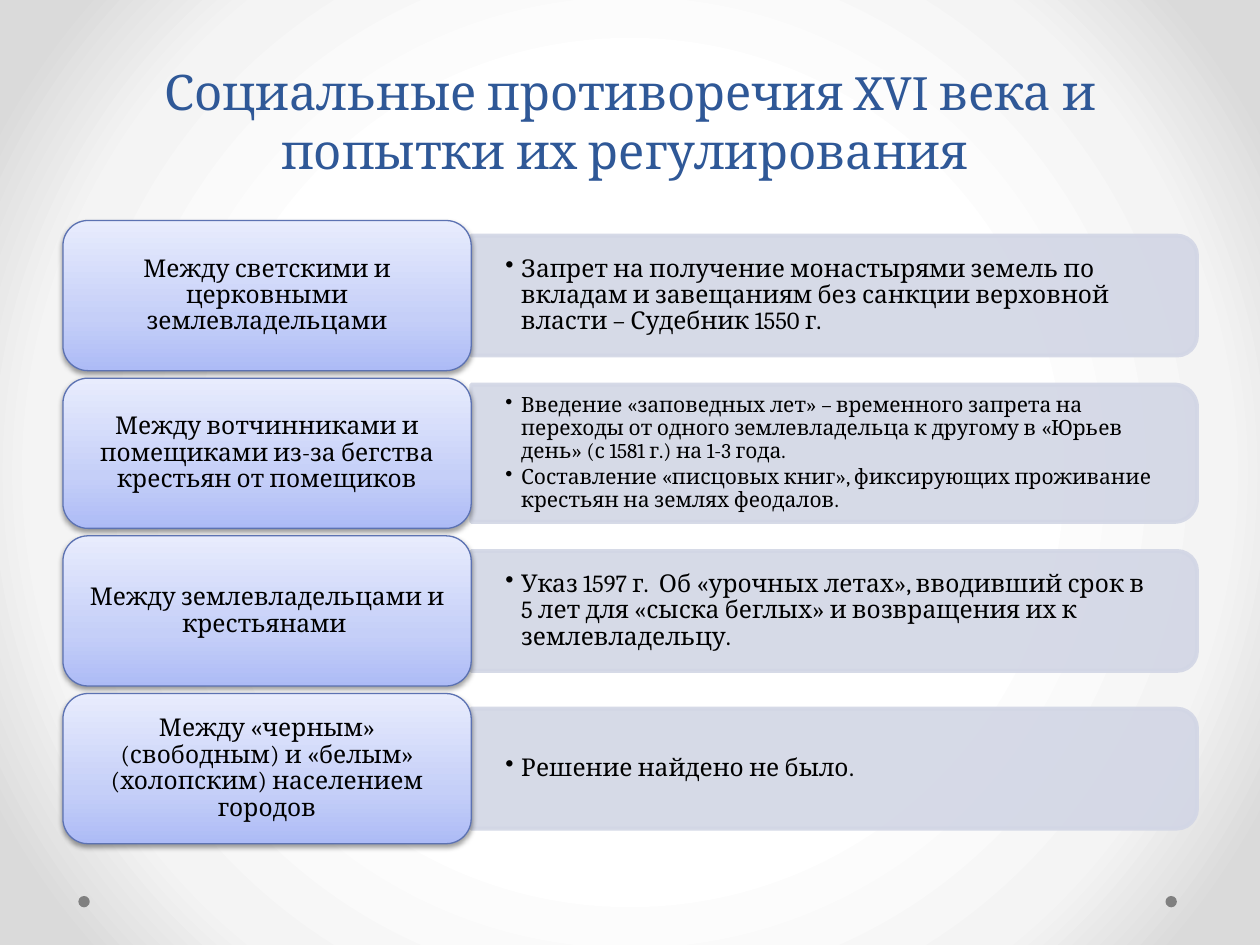
from lxml import etree
from pptx import Presentation
from pptx.dml.color import RGBColor
from pptx.enum.shapes import MSO_SHAPE
from pptx.enum.text import MSO_ANCHOR, MSO_AUTO_SIZE, PP_ALIGN
from pptx.oxml import parse_xml
from pptx.oxml.ns import qn
from pptx.util import Pt

CENTER, LEFT = PP_ALIGN.CENTER, PP_ALIGN.LEFT
MIDDLE, BOTTOM = MSO_ANCHOR.MIDDLE, MSO_ANCHOR.BOTTOM
NS = "http://schemas.openxmlformats.org/drawingml/2006/main"
FONT = "Cambria"
COLORS = {"title": "2F5897", "text": "000000", "panel": "D2D6E5",
          "label_line": "5C72B2", "dot": "808080", "shadow": "000000"}
BACKGROUND_STOPS = [(50, "FFFFFF"), (76, "F4F4F4"), (92, "DADADA")]
LABEL_STOPS = [(0, "ADBBF6"), (35, "C5CFF8"), (100, "E8ECFD")]
RADIAL = ('<a:path path="circle"><a:fillToRect l="50000" t="50000" '
          'r="50000" b="50000"/></a:path>')
UPWARD = '<a:lin ang="16200000" scaled="0"/>'

# Content: label, measures, their text size, panel height
TITLE = "Социальные противоречия XVI века и попытки их регулирования "
CONFLICTS = [
    ("Между светскими и церковными землевладельцами",
     ["Запрет на получение монастырями земель по вкладам и завещаниям без "
      "санкции верховной власти – Судебник 1550 г."], 14, 68.5),
    ("Между вотчинниками и помещиками из-за бегства крестьян от помещиков",
     ["Введение «заповедных лет» – временного запрета на переходы от одного "
      "землевладельца к другому в «Юрьев день» (с 1581 г.) на 1-3 года.",
      "Составление «писцовых книг», фиксирующих проживание крестьян на "
      "землях феодалов."], 12, 78.5),
    ("Между землевладельцами и крестьянами ",
     ["Указ 1597 г.  Об «урочных летах», вводивший срок в 5 лет для «сыска "
      "беглых» и возвращения их к землевладельцу."], 14, 68.5),
    ("Между «черным» (свободным) и «белым» (холопским) населением городов",
     ["Решение найдено не было."], 14, 68.5),
]

# Layout in points
LABEL_LEFT, LABEL_TOP, LABEL_W, LABEL_H = 36, 126, 233.3, 85.8
ROW_PITCH = 90.1
PANEL_LEFT, PANEL_W, PANEL_TEXT_W = LABEL_LEFT + LABEL_W, 414.7, 411
DOT_LEFTS, DOT_TOP, DOT_SIZE = (44.8, 666), 512, 6.5


def rgb(name):
    return RGBColor.from_string(COLORS[name])


def gradient(stops, direction):
    marks = "".join(f'<a:gs pos="{pos * 1000}"><a:srgbClr val="{color}"/></a:gs>'
                    for pos, color in stops)
    return parse_xml(f'<a:gradFill xmlns:a="{NS}" rotWithShape="1">'
                     f'<a:gsLst>{marks}</a:gsLst>{direction}</a:gradFill>')


def use_gradient(parent, stops, direction):
    solid = parent.find(qn("a:solidFill"))
    parent.replace(solid, gradient(stops, direction))


def add_block(slide, kind, box, fill, line=None, weight=0):
    block = slide.shapes.add_shape(kind, *map(Pt, box))
    block.shadow.inherit = False
    block.fill.solid()
    block.fill.fore_color.rgb = rgb(fill)
    if line:
        block.line.color.rgb = rgb(line)
        block.line.width = Pt(weight)
    else:
        block.line.fill.background()
    return block


def write(frame, texts, size, color="text", align=CENTER, anchor=MIDDLE,
          insets=(7.2, 3.6), spacing=0.9, bullets=False):
    side, edge = map(Pt, insets)
    settings = {"word_wrap": True, "auto_size": MSO_AUTO_SIZE.NONE,
                "vertical_anchor": anchor, "margin_left": side,
                "margin_right": side, "margin_top": edge, "margin_bottom": edge}
    for key, value in settings.items():
        setattr(frame, key, value)
    for index, text in enumerate(texts):
        paragraph = frame.add_paragraph() if index else frame.paragraphs[0]
        paragraph.alignment, paragraph.line_spacing = align, spacing
        if bullets:
            paragraph.space_after = Pt(2)
            properties = paragraph._p.get_or_add_pPr()
            properties.set("marL", str(Pt(9)))
            properties.set("indent", str(-Pt(9)))
            etree.SubElement(properties, qn("a:buChar")).set("char", "•")
        run = paragraph.add_run()
        run.text = text
        run.font.name, run.font.size = FONT, Pt(size)
        run.font.color.rgb = rgb(color)


def add_panel(slide, center, height, measures, size):
    # The bar is a tall shape turned so that its rounded end faces right
    box = (PANEL_LEFT + (PANEL_W - height) / 2, center - PANEL_W / 2,
           height, PANEL_W)
    bar = add_block(slide, MSO_SHAPE.ROUND_2_SAME_RECTANGLE, box,
                    "panel", "panel", 2.25)
    bar.rotation = 90
    for color in bar._element.spPr.iter(qn("a:srgbClr")):
        etree.SubElement(color, qn("a:alpha")).set("val", "90000")
    text_h = height - 7
    text_box = slide.shapes.add_textbox(
        Pt(PANEL_LEFT), Pt(center - text_h / 2), Pt(PANEL_TEXT_W), Pt(text_h))
    write(text_box.text_frame, measures, size, align=LEFT,
          insets=(19.5, 10), bullets=True)


def add_label(slide, top, text):
    label = add_block(slide, MSO_SHAPE.ROUNDED_RECTANGLE,
                      (LABEL_LEFT, top, LABEL_W, LABEL_H),
                      "panel", "label_line", 0.75)
    properties = label._element.spPr
    use_gradient(properties, LABEL_STOPS, UPWARD)
    properties.find(qn("a:effectLst")).append(parse_xml(
        f'<a:outerShdw xmlns:a="{NS}" blurRad="{Pt(3.1)}" dist="{Pt(1.6)}" '
        f'dir="5400000" rotWithShape="0"><a:srgbClr val="{COLORS["shadow"]}">'
        '<a:alpha val="38000"/></a:srgbClr></a:outerShdw>'))
    write(label.text_frame, [text], 14, insets=(8.5, 6.5))


def main():
    deck = Presentation()
    deck.slide_width, deck.slide_height = Pt(720), Pt(540)
    slide = deck.slides.add_slide(deck.slide_layouts[5])

    # Background and corner dots
    background = slide.background.fill
    background.solid()
    use_gradient(slide._element.cSld.bg.bgPr, BACKGROUND_STOPS, RADIAL)
    for left in DOT_LEFTS:
        add_block(slide, MSO_SHAPE.OVAL, (left, DOT_TOP, DOT_SIZE, DOT_SIZE), "dot")

    # Title
    title = slide.shapes.title
    title.left, title.top, title.width, title.height = map(Pt, (36, 21, 648, 85))
    write(title.text_frame, [TITLE], 28, "title", anchor=BOTTOM, spacing=1.0)

    # Rows: conflict on the left, measures on the right
    for row, (conflict, measures, size, height) in enumerate(CONFLICTS):
        top = LABEL_TOP + row * ROW_PITCH
        add_panel(slide, top + LABEL_H / 2, height, measures, size)
        add_label(slide, top, conflict)

    deck.save("out.pptx")


if __name__ == "__main__":
    main()
